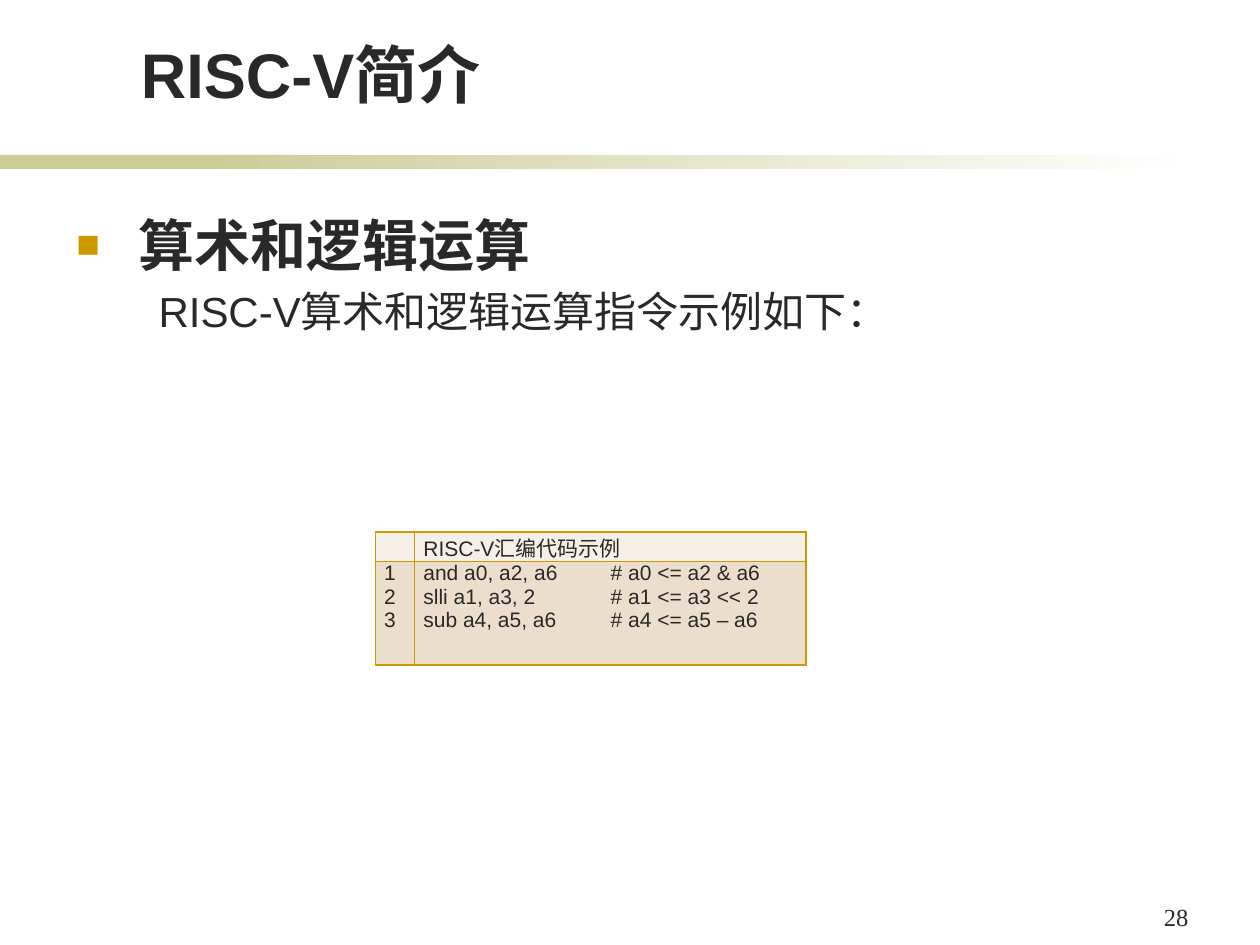
from dataclasses import dataclass

import lxml.etree
import pptx
import pptx.dml.color
import pptx.enum.shapes
import pptx.enum.text
import pptx.oxml
import pptx.oxml.ns
import pptx.util

Pt = pptx.util.Pt
RGBColor = pptx.dml.color.RGBColor
qn = pptx.oxml.ns.qn

INK = RGBColor(0x29, 0x29, 0x29)
GOLD = RGBColor(0xCC, 0x99, 0x00)
SAGE = RGBColor(0xCC, 0xCC, 0x99)
WHITE = RGBColor(0xFF, 0xFF, 0xFF)
HEADER_FILL = RGBColor(0xF6, 0xEF, 0xE7)
CODE_FILL = RGBColor(0xEC, 0xDE, 0xCC)

COMMENT_TAB = 107  # distance from the code to its comment column


@dataclass
class Line:
    text: str
    size: float
    bold: bool = False
    font: str = "Arial"
    space_before: float = 0


@dataclass
class Box:
    left: float
    top: float
    width: float
    height: float

    def lengths(self) -> list:
        return [Pt(v) for v in (self.left, self.top, self.width, self.height)]


def set_attributes(target, values: dict) -> None:
    for name, value in values.items():
        setattr(target, name, value)


def add_xml(parent, tag: str, **attributes: str):
    return lxml.etree.SubElement(parent, qn(tag), attributes)


def write_lines(frame, lines: list[Line]) -> None:
    for index, line in enumerate(lines):
        paragraph = frame.paragraphs[0] if index == 0 else frame.add_paragraph()
        paragraph.space_before = Pt(line.space_before)
        run = paragraph.add_run()
        run.text = line.text
        set_attributes(run.font, {"name": line.font, "size": Pt(line.size), "bold": line.bold})
        run.font.color.rgb = INK


def add_text(slide, box: Box, lines: list[Line], anchor=pptx.enum.text.MSO_ANCHOR.TOP):
    frame = slide.shapes.add_textbox(*box.lengths()).text_frame
    set_attributes(frame, {"word_wrap": True, "vertical_anchor": anchor})
    write_lines(frame, lines)
    return frame


def add_band(slide, box: Box, fades: bool) -> None:
    band = slide.shapes.add_shape(pptx.enum.shapes.MSO_SHAPE.RECTANGLE, *box.lengths())
    band.shadow.inherit = False
    band.line.fill.background()
    if fades:
        band.fill.gradient()
        band.fill.gradient_angle = 0
        for stop, color, position in zip(band.fill.gradient_stops, (SAGE, WHITE), (0, 1)):
            stop.color.rgb = color
            stop.position = position
    else:
        band.fill.solid()
        band.fill.fore_color.rgb = SAGE


def add_bullet(paragraph, indent: float) -> None:
    properties = paragraph._p.get_or_add_pPr()
    properties.set("marL", str(Pt(indent)))
    properties.set("indent", str(-Pt(indent)))
    add_xml(add_xml(properties, "a:buClr"), "a:srgbClr", val=str(GOLD))
    add_xml(properties, "a:buSzPct", val="70000")
    add_xml(properties, "a:buFont", typeface="Arial")
    add_xml(properties, "a:buChar", char="■")


def fill_cell(cell, texts: list[str], color: RGBColor) -> None:
    set_attributes(cell, {"margin_left": Pt(5), "margin_right": Pt(5),
                          "margin_top": 0, "margin_bottom": 0})
    properties = cell._tc.get_or_add_tcPr()
    for side in ("a:lnL", "a:lnR", "a:lnT", "a:lnB"):
        border = add_xml(properties, side, w=str(Pt(1)))
        add_xml(add_xml(border, "a:solidFill"), "a:srgbClr", val=str(GOLD))
    cell.fill.solid()
    cell.fill.fore_color.rgb = color
    write_lines(cell.text_frame, [Line(text, 12) for text in texts])
    for paragraph in cell.text_frame.paragraphs:
        if not texts:
            # An empty cell keeps the row as low as its 12 pt neighbour
            add_xml(paragraph._p, "a:endParaRPr", sz="1200")
        elif "\t" in paragraph.text:
            tabs = add_xml(paragraph._p.get_or_add_pPr(), "a:tabLst")
            add_xml(tabs, "a:tab", pos=str(Pt(COMMENT_TAB)), algn="l")


def add_code_table(slide, box: Box, columns: list, heights: list, rows: list) -> None:
    table = slide.shapes.add_table(len(rows), len(columns), *box.lengths()).table
    set_attributes(table, {"first_row": False, "horz_banding": False})
    for column, width in zip(table.columns, columns):
        column.width = Pt(width)
    for row, height, texts, color in zip(table.rows, heights, rows, (HEADER_FILL, CODE_FILL)):
        row.height = Pt(height)
        for cell, cell_texts in zip(row.cells, texts):
            fill_cell(cell, cell_texts, color)


def main() -> None:
    deck = pptx.Presentation()
    set_attributes(deck, {"slide_width": Pt(720), "slide_height": Pt(540)})
    slide = deck.slides.add_slide(deck.slide_layouts[6])

    # Divider and page number
    add_band(slide, Box(0, 88.5, 168, 8), fades=False)
    add_band(slide, Box(114, 88.5, 570, 8), fades=True)
    add_text(slide, Box(658, 512, 34, 24), [Line("28", 14, font="Times New Roman")])

    # Title
    add_text(slide, Box(73.5, 16.5, 528.5, 50.5), [Line("RISC-V简介", 36, bold=True)],
             pptx.enum.text.MSO_ANCHOR.BOTTOM)

    # Topic and introduction
    topic, introduction = add_text(slide, Box(36.5, 116.5, 641.5, 345.5), [
        Line("算术和逻辑运算", 32, bold=True),
        Line("RISC-V算术和逻辑运算指令示例如下：", 24, space_before=4.8),
    ]).paragraphs
    add_bullet(topic, 35.5)
    introduction._p.get_or_add_pPr().set("marL", str(Pt(47)))

    # Code example
    code = [("and a0, a2, a6", "# a0 <= a2 & a6"),
            ("slli a1, a3, 2", "# a1 <= a3 << 2"),
            ("sub a4, a5, a6", "# a4 <= a5 – a6")]
    numbers = [str(number) for number, _ in enumerate(code, 1)]
    add_code_table(slide, Box(214.5, 304, 246, 76), [22.5, 223.5], [17, 59], [
        [[], ["RISC-V汇编代码示例"]],
        [numbers, ["\t".join(parts) for parts in code]],
    ])

    deck.save("out.pptx")


if __name__ == "__main__":
    main()
